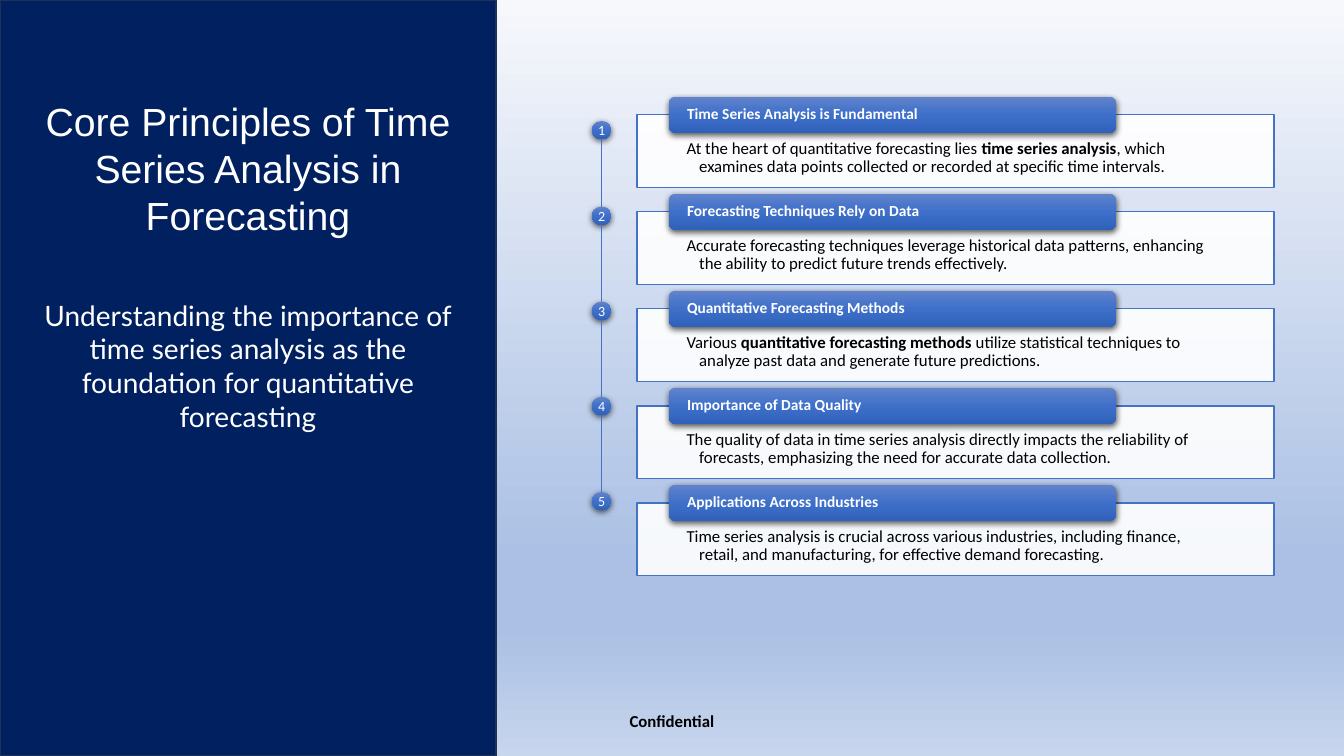
from dataclasses import dataclass
from itertools import pairwise

from lxml.etree import SubElement
from pptx import Presentation
from pptx.dml.color import RGBColor
from pptx.dml.fill import FillFormat
from pptx.enum.shapes import MSO_CONNECTOR, MSO_SHAPE
from pptx.enum.text import MSO_ANCHOR, PP_ALIGN
from pptx.oxml.ns import qn
from pptx.oxml.xmlchemy import BaseOxmlElement
from pptx.shapes.autoshape import Shape
from pptx.slide import Slide
from pptx.text.text import TextFrame, _Paragraph
from pptx.util import Pt

HUES = {"navy": "002060", "edge": "1E3256", "blue": "4472C4", "white": "FFFFFF", "black": "000000"}
SKY = ((0, "F6F8FC"), (74, "ABC0E4"), (83, "ABC0E4"), (100, "C7D5ED"))
GLOSS = ((0, "6183CB"), (50, "3E70CA"), (100, "3062BB"))
STEP = 69.3


@dataclass
class Card:
    """A numbered card; every second part of its body is bold."""

    head: str
    body: tuple[str, ...]
    mark: float


CARDS = (
    Card("Time Series Analysis is Fundamental",
         ("At the heart of quantitative forecasting lies ", "time series analysis",
          ", which examines data points collected or recorded at specific time intervals."), 86.4),
    Card("Forecasting Techniques Rely on Data",
         ("Accurate forecasting techniques leverage historical data patterns, "
          "enhancing the ability to predict future trends effectively.",), 147.6),
    Card("Quantitative Forecasting Methods",
         ("Various ", "quantitative forecasting methods",
          " utilize statistical techniques to analyze past data and generate future predictions."), 215.5),
    Card("Importance of Data Quality",
         ("The quality of data in time series analysis directly impacts the reliability of forecasts, "
          "emphasizing the need for accurate data collection.",), 283.5),
    Card("Applications Across Industries",
         ("Time series analysis is crucial across various industries, including finance, retail, "
          "and manufacturing, for effective demand forecasting.",), 351.4),
)


def tint(name: str) -> RGBColor:
    """Look up a named colour."""
    return RGBColor.from_string(HUES[name])


def blend(fill: FillFormat, root: BaseOxmlElement, stops: tuple[tuple[int, str], ...]) -> None:
    """Give a fill a downward gradient with the given stops."""
    fill.gradient()
    track = next(root.iter(qn("a:gsLst")))
    for old in list(track):
        track.remove(old)
    for place, code in stops:
        stop = SubElement(track, qn("a:gs"), pos=str(place * 1000))
        SubElement(stop, qn("a:srgbClr"), val=code)
    next(root.iter(qn("a:lin"))).set("ang", "5400000")


def inset(frame: TextFrame, left: float, top: float) -> None:
    """Wrap the text and set its side and top margins."""
    frame.word_wrap = True
    frame.margin_left = frame.margin_right = Pt(left)
    frame.margin_top, frame.margin_bottom = Pt(top), Pt(0)


def style(para: _Paragraph, face: str, size: float, hue: str, align: PP_ALIGN) -> None:
    """Align a paragraph and format its runs."""
    para.alignment = align
    for run in para.runs:
        run.font.name, run.font.size = face, Pt(size)
        run.font.color.rgb = tint(hue)


def block(slide: Slide, kind: MSO_SHAPE, x: float, y: float, w: float, h: float) -> Shape:
    """Add a preset shape without a shadow."""
    shape = slide.shapes.add_shape(kind, Pt(x), Pt(y), Pt(w), Pt(h))
    shape.shadow.inherit = False
    return shape


def plain(shape: Shape, fill: str, line: str) -> None:
    """Give a shape a solid fill and a thin outline."""
    shape.fill.solid()
    shape.fill.fore_color.rgb = tint(fill)
    shape.line.color.rgb = tint(line)
    shape.line.width = Pt(1)


def gloss(shape: Shape) -> None:
    """Give a shape the blue gradient and a soft drop shadow."""
    blend(shape.fill, shape.element, GLOSS)
    shape.line.fill.background()
    glow = SubElement(next(shape.element.iter(qn("a:effectLst"))), qn("a:outerShdw"),
                      blurRad=str(Pt(4.5)), dist=str(Pt(1.5)), dir="5400000",
                      algn="ctr", rotWithShape="0")
    shade = SubElement(glow, qn("a:srgbClr"), val=HUES["black"])
    SubElement(shade, qn("a:alpha"), val="63000")


def label(slide: Slide, text: str, x: float, y: float, w: float, h: float,
          face: str, size: float, hue: str) -> _Paragraph:
    """Add a centred text box and return its paragraph."""
    frame = slide.shapes.add_textbox(Pt(x), Pt(y), Pt(w), Pt(h)).text_frame
    frame.word_wrap = True
    frame.vertical_anchor = MSO_ANCHOR.MIDDLE
    para = frame.paragraphs[0]
    para.text = text
    style(para, face, size, hue, PP_ALIGN.CENTER)
    return para


def side(slide: Slide) -> None:
    """Draw the navy panel with the title and subtitle."""
    panel = block(slide, MSO_SHAPE.RECTANGLE, 0, 0, 354.2, 540)
    plain(panel, "navy", "edge")
    title = slide.shapes.title
    title.element.addprevious(panel.element)
    title.left, title.top, title.width, title.height = Pt(8.6), Pt(66), Pt(337), Pt(108)
    frame = title.text_frame
    frame.text = "Core Principles of Time Series Analysis in Forecasting"
    frame.word_wrap = True
    frame.vertical_anchor = MSO_ANCHOR.MIDDLE
    style(frame.paragraphs[0], "Arial", 28, "white", PP_ALIGN.CENTER)
    frame.paragraphs[0].line_spacing = Pt(33.6)
    label(slide, "Understanding the importance of time series analysis as the foundation "
          "for quantitative forecasting", 8.6, 207, 337, 108, "Lato", 20, "white")


def trail(slide: Slide) -> None:
    """Draw the numbered dots and the lines that link them."""
    for num, card in enumerate(CARDS, 1):
        dot = block(slide, MSO_SHAPE.FLOWCHART_CONNECTOR, 422.8, card.mark, 14, 13.2)
        gloss(dot)
        frame = dot.text_frame
        inset(frame, 0, 0)
        frame.word_wrap = False
        frame.vertical_anchor = MSO_ANCHOR.MIDDLE
        frame.text = str(num)
        style(frame.paragraphs[0], "Calibri", 10, "white", PP_ALIGN.CENTER)
    for above, below in pairwise(CARDS):
        link = slide.shapes.add_connector(MSO_CONNECTOR.STRAIGHT, Pt(429.8), Pt(above.mark + 13.2),
                                          Pt(429.8), Pt(below.mark))
        link.line.color.rgb = tint("blue")
        link.line.width = Pt(0.5)
        SubElement(link.element.spPr, qn("a:effectLst"))


def draw(slide: Slide, card: Card, y: float) -> None:
    """Draw one card with its heading tab."""
    base = block(slide, MSO_SHAPE.RECTANGLE, 455, y, 455, 52)
    plain(base, "white", "blue")
    SubElement(next(base.element.iter(qn("a:srgbClr"))), qn("a:alpha"), val="90000")
    frame = base.text_frame
    inset(frame, 35.4, 18)
    frame.vertical_anchor = MSO_ANCHOR.TOP
    para = frame.paragraphs[0]
    for spot, part in enumerate(card.body):
        run = para.add_run()
        run.text = part
        run.font.bold = spot % 2 == 1
    style(para, "Calibri", 12, "black", PP_ALIGN.LEFT)
    para.line_spacing = 0.9
    props = next(base.element.iter(qn("a:pPr")))
    props.set("marL", str(Pt(9)))
    props.set("indent", str(Pt(-9)))

    tab = block(slide, MSO_SHAPE.ROUNDED_RECTANGLE, 478, y - 12.9, 319, 25.7)
    gloss(tab)
    frame = tab.text_frame
    inset(frame, 11.5, 0)
    frame.vertical_anchor = MSO_ANCHOR.MIDDLE
    frame.text = card.head
    para = frame.paragraphs[0]
    style(para, "Calibri", 11, "white", PP_ALIGN.LEFT)
    para.line_spacing = 0.9
    para.runs[0].font.bold = True


def main() -> None:
    """Build and save the slide."""
    deck = Presentation()
    deck.slide_width, deck.slide_height = Pt(960), Pt(540)
    slide = deck.slides.add_slide(deck.slide_layouts[5])
    blend(slide.background.fill, slide.element, SKY)
    side(slide)
    trail(slide)
    for row, card in enumerate(CARDS):
        draw(slide, card, 82 + row * STEP)
    note = label(slide, "Confidential", 318, 500.5, 324, 28.8, "Calibri", 12, "black")
    note.runs[0].font.bold = True
    deck.save("out.pptx")


if __name__ == "__main__":
    main()
